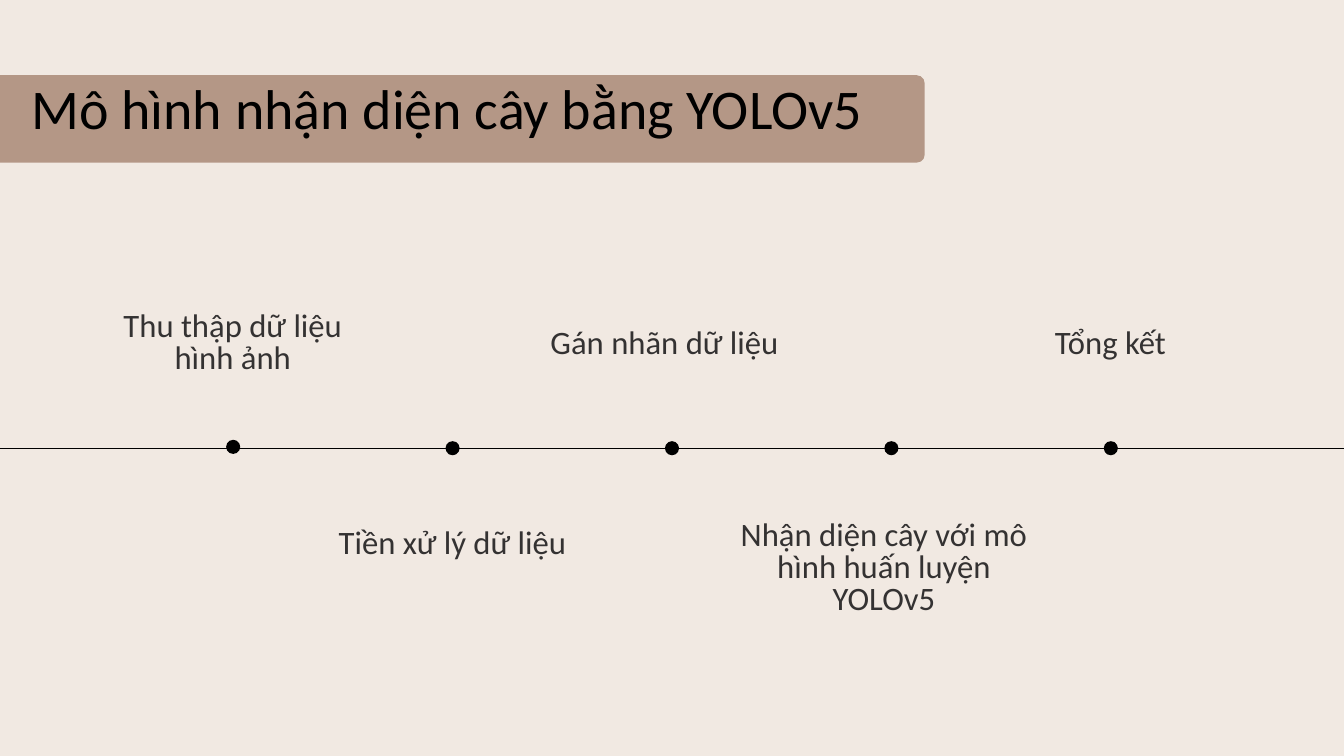
import pptx
import pptx.util
import pptx.dml.color
import pptx.enum.shapes
import pptx.enum.text
import pptx.oxml
from pptx.util import Inches

FONT = "Calibri"
BACKGROUND = "F1E9E2"
BAR = "B49786"
BLACK = "000000"
LABEL = "343232"

AXIS_TOP = 6.67
FIRST_DOT, DOT_STEP, DOT_SIZE = 3.47, 3.265, 0.21
STEPS = [
    ("Thu thập dữ liệu hình ảnh", 1.71, 4.65, 3.51, 0.97),
    ("Tiền xử lý dữ liệu", 4.55, 7.88, 4.37, 0.5),
    ("Gán nhãn dữ liệu", 7.82, 4.89, 4.14, 0.5),
    ("Nhận diện cây với mô hình huấn luyện YOLOv5", 10.97, 7.76, 4.37, 1.44),
    ("Tổng kết", 15.06, 4.89, 2.93, 0.5),
]


def color(value):
    return pptx.dml.color.RGBColor.from_string(value)


def set_text(box, text, size, spacing, value, inset, anchor):
    frame = box.text_frame
    frame.word_wrap = True
    frame.auto_size = pptx.enum.text.MSO_AUTO_SIZE.NONE
    frame.vertical_anchor = anchor
    frame.margin_left = frame.margin_right = Inches(inset)
    frame.margin_top = frame.margin_bottom = Inches(inset)
    para = frame.paragraphs[0]
    para.text = text
    para.alignment = pptx.enum.text.PP_ALIGN.CENTER
    para.line_spacing = pptx.util.Pt(spacing)
    para.space_before = pptx.util.Pt(0)
    para.font.name = FONT
    para.font.size = pptx.util.Pt(size)
    para.font.color.rgb = color(value)


def add_filled_shape(page, kind, left, top, width, height, value):
    shape = page.shapes.add_shape(
        kind, Inches(left), Inches(top), Inches(width), Inches(height))
    shape.shadow.inherit = False
    shape.fill.solid()
    shape.fill.fore_color.rgb = color(value)
    shape.line.fill.background()
    return shape


def add_title(page, text):
    bar = add_filled_shape(
        page, pptx.enum.shapes.MSO_SHAPE.ROUNDED_RECTANGLE,
        -0.46, 1.12, 14.22, 1.3, BAR)
    bar.adjustments[0] = 0.09
    title = page.shapes.title
    title.left, title.top = Inches(-0.46), Inches(0.61)
    title.width, title.height = Inches(14.22), Inches(1.81)
    set_text(title, text, 60, 84, BLACK, 0.06,
             pptx.enum.text.MSO_ANCHOR.MIDDLE)
    bar.element.addnext(title.element)


def add_axis(page):
    axis = page.shapes.add_connector(
        pptx.enum.shapes.MSO_CONNECTOR.STRAIGHT,
        Inches(0), Inches(AXIS_TOP), Inches(20), Inches(AXIS_TOP))
    axis.line.color.rgb = color(BLACK)
    axis.line.width = pptx.util.Pt(1.5)
    properties = axis.element.spPr
    properties.append(pptx.oxml.parse_xml(
        '<a:effectLst xmlns:a='
        '"http://schemas.openxmlformats.org/drawingml/2006/main"/>'))


def add_step(page, index, text, left, top, width, height):
    center = FIRST_DOT + index * DOT_STEP
    middle = AXIS_TOP if index else AXIS_TOP - 0.02
    add_filled_shape(
        page, pptx.enum.shapes.MSO_SHAPE.OVAL,
        center - DOT_SIZE / 2, middle - DOT_SIZE / 2,
        DOT_SIZE, DOT_SIZE, BLACK)
    box = page.shapes.add_textbox(
        Inches(left), Inches(top), Inches(width), Inches(height))
    set_text(box, text, 35, 34.3, LABEL, 0, pptx.enum.text.MSO_ANCHOR.TOP)


def main():
    deck = pptx.Presentation()
    deck.slide_width, deck.slide_height = Inches(20), Inches(11.25)
    page = deck.slides.add_slide(deck.slide_layouts[5])
    page.background.fill.solid()
    page.background.fill.fore_color.rgb = color(BACKGROUND)
    add_axis(page)
    for index, step in enumerate(STEPS):
        add_step(page, index, *step)
    add_title(page, "Mô hình nhận diện cây bằng YOLOv5")
    deck.save("out.pptx")


if __name__ == "__main__":
    main()
